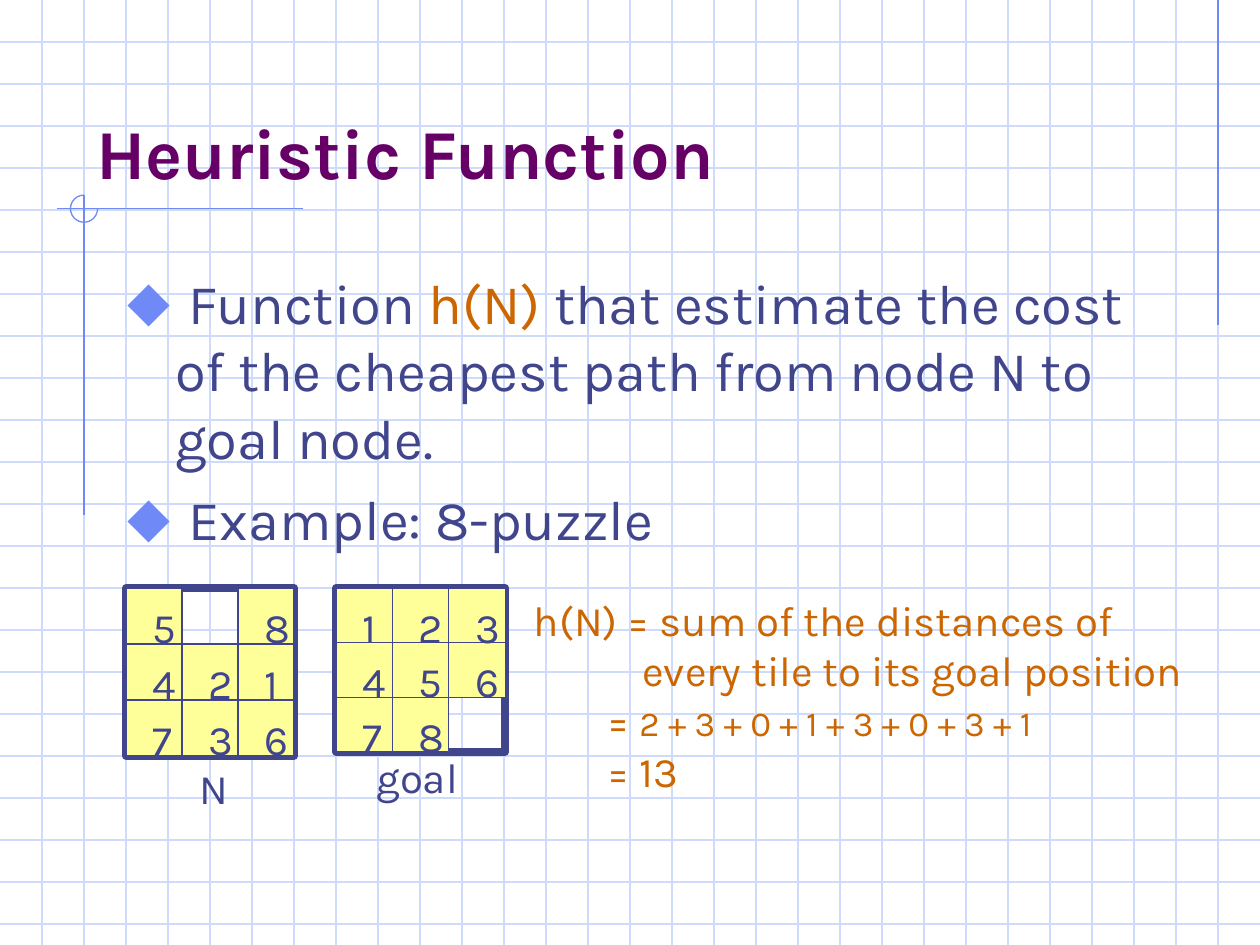
import pptx
import pptx.util
import pptx.dml.color
import pptx.enum.shapes
import pptx.enum.text
from pptx.oxml.ns import qn

Pt = pptx.util.Pt
SHAPE = pptx.enum.shapes.MSO_SHAPE
FONT = "Karla"
WIDE, HIGH, STEP = 720, 540, 24
COLORS = {
    "grid": "CFDBFD",
    "accent": "6F89F7",
    "title": "660066",
    "text": "40458C",
    "note": "CC6600",
    "tile": "FFFF99",
}


def color(name):
    return pptx.dml.color.RGBColor.from_string(COLORS[name])


def add_line(slide, x1, y1, x2, y2, tint):
    line = slide.shapes.add_connector(
        pptx.enum.shapes.MSO_CONNECTOR.STRAIGHT, Pt(x1), Pt(y1), Pt(x2), Pt(y2))
    line.line.color.rgb = color(tint)
    line.line.width = Pt(0.75)
    props = line._element.spPr
    props.append(props.makeelement(qn("a:effectLst"), {}))


def add_shape(slide, kind, x, y, w, h, tint, weight, fill=None):
    shape = slide.shapes.add_shape(kind, Pt(x), Pt(y), Pt(w), Pt(h))
    shape.shadow.inherit = False
    shape.line.color.rgb = color(tint)
    shape.line.width = Pt(weight)
    if fill:
        shape.fill.solid()
        shape.fill.fore_color.rgb = color(fill)
    else:
        shape.fill.background()
    return shape


def add_box(slide, x, y, w, h):
    frame = slide.shapes.add_textbox(Pt(x), Pt(y), Pt(w), Pt(h)).text_frame
    frame.word_wrap = True
    return frame


def style(run, size, tint, bold=False):
    run.font.name = FONT
    run.font.size = Pt(size)
    run.font.color.rgb = color(tint)
    run.font.bold = bold


def add_runs(para, parts):
    """Fill a paragraph from (text, size, colour) parts."""
    for text, size, tint in parts:
        run = para.add_run()
        run.text = text
        style(run, size, tint)


def add_label(slide, text, x, y, w):
    frame = add_box(slide, x, y, w, 36)
    frame.text = text
    style(frame.paragraphs[0].runs[0], 24, "text")


def indent(para, left, first=0):
    props = para._p.get_or_add_pPr()
    props.set("marL", str(Pt(left)))
    props.set("indent", str(Pt(first)))
    return props


def add_bullet(para):
    props = indent(para, 27, -27)
    tint = props.makeelement(qn("a:buClr"), {})
    tint.append(tint.makeelement(qn("a:srgbClr"), {"val": COLORS["accent"]}))
    props.append(tint)
    props.append(props.makeelement(qn("a:buSzPct"), {"val": "110000"}))
    props.append(props.makeelement(qn("a:buFont"), {"typeface": FONT}))
    props.append(props.makeelement(qn("a:buChar"), {"char": "⬥"}))


def add_grid(slide):
    for y in range(STEP, HIGH, STEP):
        add_line(slide, 0, y, WIDE, y, "grid")
    for x in range(STEP, WIDE, STEP):
        add_line(slide, x, 0, x, HIGH, "grid")


def add_frame(slide):
    """Draw the accent lines and the open ring beside the title."""
    add_line(slide, 696, 0, 696, 186, "accent")
    add_line(slide, 32.5, 119.25, 173, 119.25, "accent")
    add_line(slide, 48, 111.5, 48, 294.5, "accent")
    ring = add_shape(slide, SHAPE.ARC, 40.25, 111.5, 15.5, 15.5, "accent", 0.75)
    ring.adjustments[0] = 0
    ring.adjustments[1] = 162  # 270 degrees


def add_puzzle(slide, x, y, w, h, rows):
    """Draw a 3 by 3 board; a space in rows is the empty cell."""
    add_shape(slide, SHAPE.RECTANGLE, x, y, 3 * w, 3 * h, "text", 4.5)
    cells = [(digit, x + col * w, y + row * h)
             for row, digits in enumerate(rows)
             for col, digit in enumerate(digits) if digit != " "]
    for _, left, top in cells:
        add_shape(slide, SHAPE.RECTANGLE, left, top, w, h, "text", 0.75, "tile")
    for digit, left, top in cells:
        add_label(slide, digit, left + 8, top + 4, 28)


def add_title(slide):
    frame = add_box(slide, 48, 24, 612, 90)
    frame.vertical_anchor = pptx.enum.text.MSO_ANCHOR.BOTTOM
    frame.text = "Heuristic Function"
    style(frame.paragraphs[0].runs[0], 40, "title", True)


def add_body(slide):
    frame = add_box(slide, 66, 150, 612, 324)
    first, second = frame.paragraphs[0], frame.add_paragraph()
    add_bullet(first)
    add_runs(first, [
        (" Function ", 32, "text"),
        ("h(N)", 32, "note"),
        (" that estimate the cost of the cheapest path from node N to goal node.",
         32, "text")])
    add_bullet(second)
    second.space_before = Pt(8)
    add_runs(second, [(" Example: 8-puzzle", 32, "text")])


def add_sum(slide):
    frame = add_box(slide, 298, 336, 400, 122)
    lines = [
        (0, [("h(N) = sum of the distances of", 24)]),
        (62, [("every tile to its goal position", 24)]),
        (42, [("= ", 24), ("2 + 3 + 0 + 1 + 3 + 0 + 3 + 1", 20)]),
        (42, [("= 13", 24)]),
    ]
    for row, (left, parts) in enumerate(lines):
        para = frame.add_paragraph() if row else frame.paragraphs[0]
        indent(para, left)
        add_runs(para, [(text, size, "note") for text, size in parts])


def main():
    deck = pptx.Presentation()
    deck.slide_width, deck.slide_height = Pt(WIDE), Pt(HIGH)
    slide = deck.slides.add_slide(deck.slide_layouts[6])
    add_grid(slide)
    add_frame(slide)
    add_title(slide)
    add_body(slide)
    add_puzzle(slide, 192, 336, 32.25, 31.2, ["123", "456", "78 "])
    add_puzzle(slide, 72, 336, 32, 32, ["5 8", "421", "736"])
    add_label(slide, "N", 107, 432, 33)
    add_label(slide, "goal", 208, 426, 64)
    add_sum(slide)
    deck.save("out.pptx")


if __name__ == "__main__":
    main()
